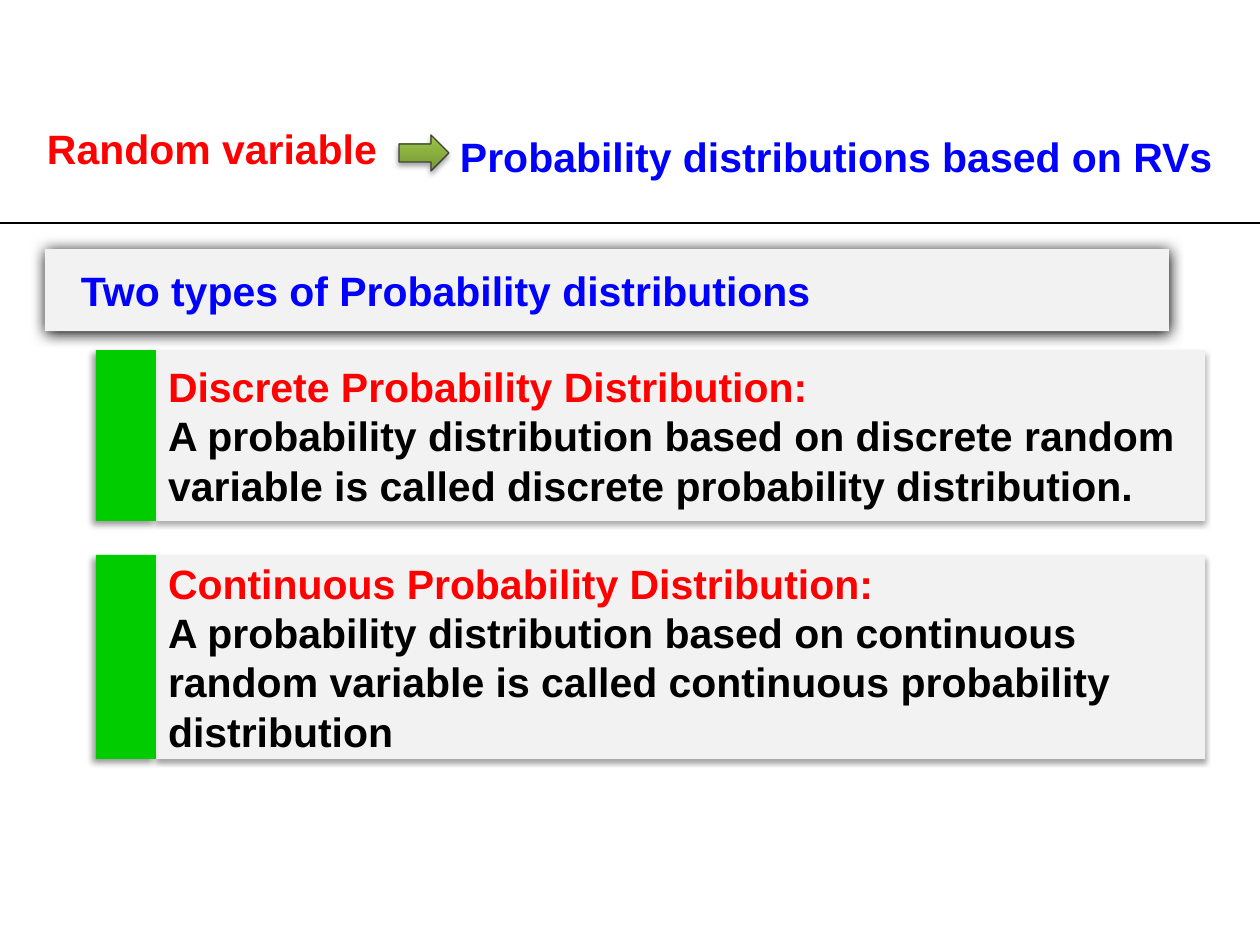
from lxml import etree
from pptx import Presentation
from pptx.dml.color import RGBColor
from pptx.enum.shapes import MSO_CONNECTOR, MSO_SHAPE
from pptx.enum.text import MSO_ANCHOR, PP_ALIGN
from pptx.oxml.ns import qn
from pptx.util import Pt

PX = 914400 / 126
RECTANGLE, RIGHT_ARROW = MSO_SHAPE.RECTANGLE, MSO_SHAPE.RIGHT_ARROW
PANEL = MSO_SHAPE.ROUND_2_DIAG_RECTANGLE
STRAIGHT = MSO_CONNECTOR.STRAIGHT
TOP, MIDDLE, LEFT = MSO_ANCHOR.TOP, MSO_ANCHOR.MIDDLE, PP_ALIGN.LEFT

RED = RGBColor(0xFF, 0x00, 0x00)
BLUE = RGBColor(0x00, 0x00, 0xFF)
BLACK = RGBColor(0x00, 0x00, 0x00)
GREEN = RGBColor(0x00, 0xCC, 0x00)
PALE_GRAY = RGBColor(0xF2, 0xF2, 0xF2)
DARK_GRAY = RGBColor(0x40, 0x40, 0x40)
ARROW_DARK = RGBColor(0x77, 0x97, 0x37)
ARROW_LIGHT = RGBColor(0x9D, 0xC7, 0x46)

# Shadows: opacity %, blur pt, distance pt, direction in degrees
SOFT = (35, 3.1, 1.8, 90)
STRONG = (100, 8.5, 1, 90)
SIDE = (40, 4, 3, 135)

# Text, colour, box in px
HEADINGS = [
    ("Random variable", RED, (34, 117, 570, 54)),
    ("Probability distributions based on RVs", BLUE, (447, 125, 785, 54)),
]
BANNER = "Two types of Probability distributions"
# Term, definition, top and height in px
CARDS = [
    ("Discrete Probability Distribution:",
     "A probability distribution based on discrete random variable is called "
     "discrete probability distribution.", 350, 171),
    ("Continuous Probability Distribution:",
     "A probability distribution based on continuous random variable is called "
     "continuous probability distribution", 555, 204),
]
CARD_LEFT, CARD_WIDTH = 155, 1050
BAR_LEFT, BAR_WIDTH = 96, 60


def px(value):
    return round(value * PX)


def add_effects(shape, shadow=None):
    """Give the shape its own effect list: one outer shadow, or nothing."""
    properties = shape._element.spPr
    for old in properties.findall(qn("a:effectLst")):
        properties.remove(old)
    effects = etree.SubElement(properties, qn("a:effectLst"))
    if shadow:
        opacity, blur, distance, direction = shadow
        outer = etree.SubElement(
            effects, qn("a:outerShdw"), blurRad=str(Pt(blur)), dist=str(Pt(distance)),
            dir=str(direction * 60000), algn="ctr", rotWithShape="0")
        color = etree.SubElement(outer, qn("a:srgbClr"), val=str(BLACK))
        etree.SubElement(color, qn("a:alpha"), val=str(opacity * 1000))


def add_block(slide, kind, box, fill, shadow):
    shape = slide.shapes.add_shape(kind, *map(px, box))
    if kind == PANEL:
        shape.adjustments[0] = shape.adjustments[1] = 0
    if fill:
        shape.fill.solid()
        shape.fill.fore_color.rgb = fill
    shape.line.fill.background()
    add_effects(shape, shadow)
    return shape


def write(shape, lines, anchor=MIDDLE, indent=13):
    """Fill the shape with one paragraph per (text, colour) pair."""
    frame = shape.text_frame
    frame.word_wrap = True
    frame.vertical_anchor = anchor
    frame.margin_left = px(indent)
    for index, (text, color) in enumerate(lines):
        paragraph = frame.add_paragraph() if index else frame.paragraphs[0]
        paragraph.alignment = LEFT
        run = paragraph.add_run()
        run.text = text
        run.font.name = "Arial"
        run.font.size = Pt(23.4)
        run.font.bold = True
        run.font.color.rgb = color


def add_arrow(slide):
    arrow = add_block(slide, RIGHT_ARROW, (399, 135, 50, 36), None, SOFT)
    arrow.fill.gradient()
    arrow.fill.gradient_angle = 90
    for stop, color in zip(arrow.fill.gradient_stops, (ARROW_DARK, ARROW_LIGHT)):
        stop.color.rgb = color
    arrow.line.color.rgb = DARK_GRAY
    arrow.line.width = Pt(0.75)


def add_divider(slide):
    line = slide.shapes.add_connector(STRAIGHT, 0, px(223), px(1260), px(223))
    line.line.color.rgb = BLACK
    line.line.width = Pt(1.5)
    add_effects(line)


def main():
    presentation = Presentation()
    presentation.slide_width, presentation.slide_height = px(1260), px(945)
    slide = presentation.slides.add_slide(presentation.slide_layouts[6])

    for term, definition, top, height in CARDS:
        card = add_block(slide, PANEL, (CARD_LEFT, top, CARD_WIDTH, height), PALE_GRAY, SOFT)
        write(card, [(term, RED), (definition, BLACK)])
    banner = add_block(slide, PANEL, (45, 249, 1124, 82), PALE_GRAY, STRONG)
    write(banner, [(BANNER, BLUE)], indent=36)
    for _, _, top, height in CARDS:
        add_block(slide, RECTANGLE, (BAR_LEFT, top, BAR_WIDTH, height), GREEN, SIDE)

    for text, color, box in HEADINGS:
        write(slide.shapes.add_textbox(*map(px, box)), [(text, color)], anchor=TOP)
    add_arrow(slide)
    add_divider(slide)
    presentation.save("out.pptx")


if __name__ == "__main__":
    main()
